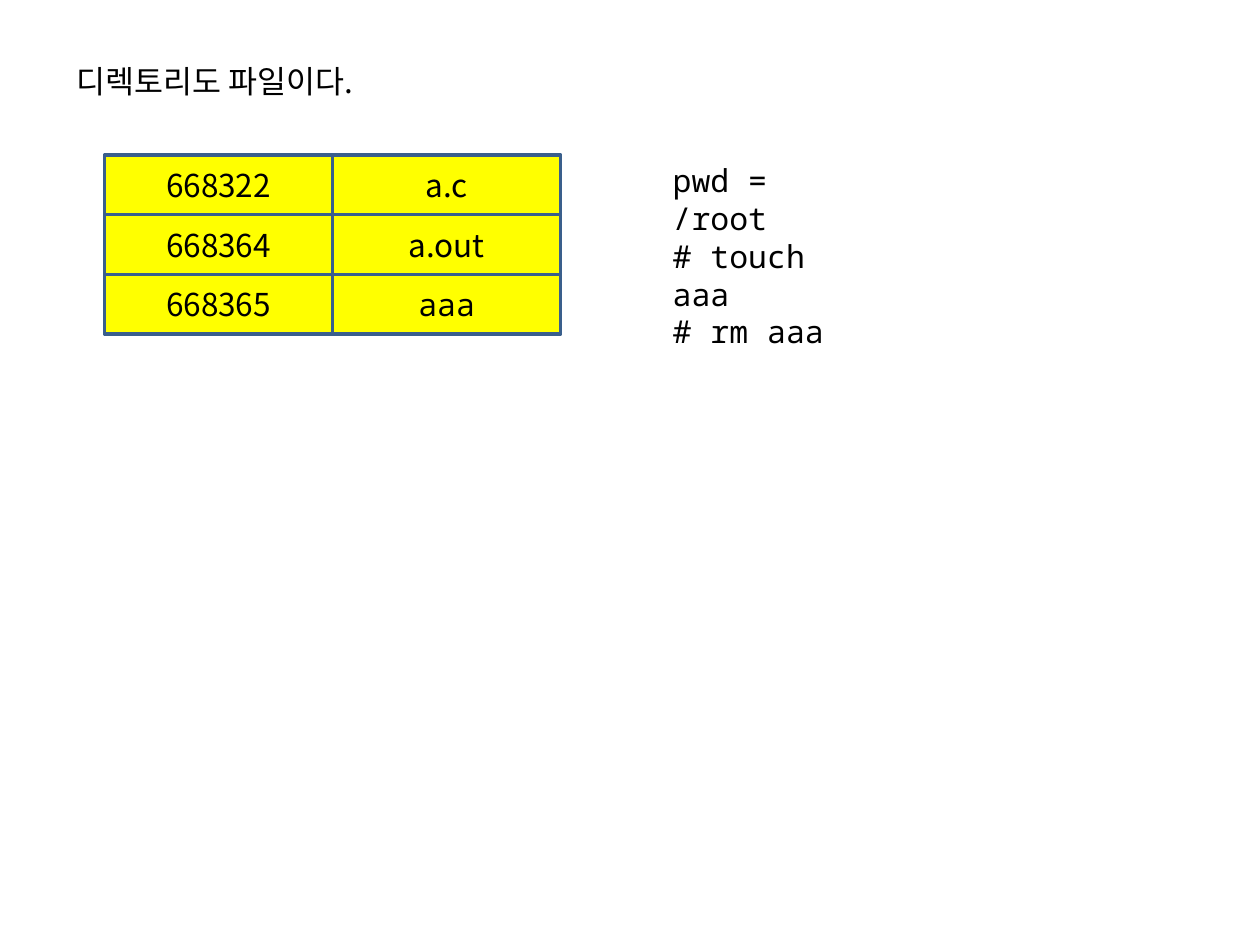
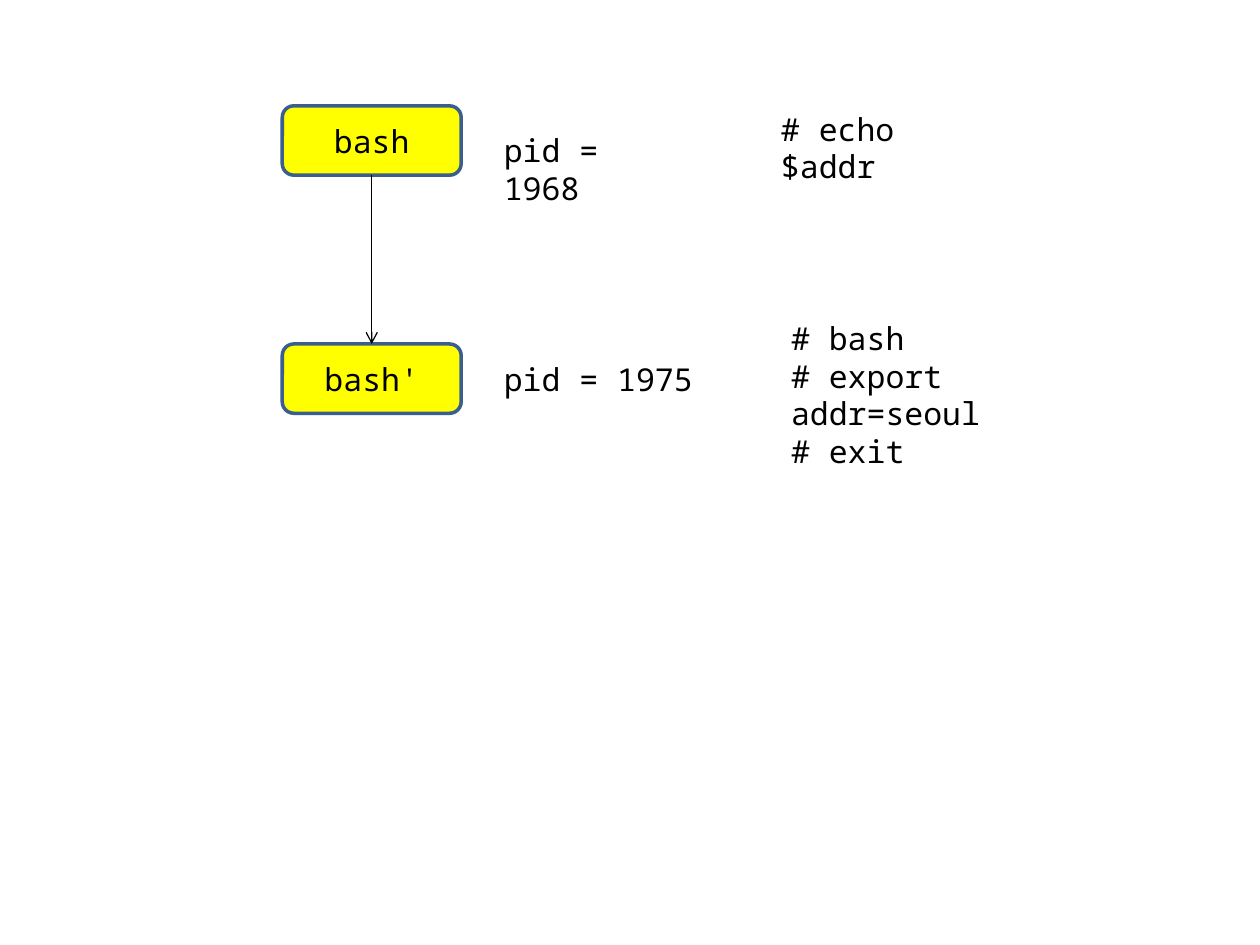
"""Draws a directory table and a parent and child shell on two slides."""
from dataclasses import dataclass
from lxml.etree import SubElement
from pptx import Presentation
from pptx.dml.color import RGBColor as RGB
from pptx.enum.shapes import MSO_CONNECTOR as Link, MSO_SHAPE as Form
from pptx.enum.text import MSO_ANCHOR as Anchor, MSO_AUTO_SIZE as Auto, PP_ALIGN as Align
from pptx.oxml.ns import qn
from pptx.shapes.base import BaseShape
from pptx.slide import Slide
from pptx.util import Inches, Length, Pt

COLS, ROWS = 100, 75
WIDE, HIGH = Inches(10), Inches(7.5)
LINE = Inches(0.3)
HUES = {"ink": "000000", "fill": "FFFF00", "edge": "3A5F8C"}
SANS, MONO = "Noto Sans CJK KR", "Noto Sans Mono"
FRAME = {"word_wrap": True, "auto_size": Auto.NONE,
         "margin_left": Inches(0.1), "margin_right": Inches(0.1),
         "margin_top": Inches(0.05), "margin_bottom": Inches(0.05)}
NOTE = FRAME | {"vertical_anchor": Anchor.TOP}
LABEL = FRAME | {"vertical_anchor": Anchor.MIDDLE}


@dataclass
class Box:
    """A place in columns and rows of the slide grid."""
    col: float
    row: float
    wide: float
    high: float

    def place(self) -> tuple[Length, ...]:
        """Give left, top, width and height as lengths."""
        unit = WIDE / COLS, HIGH / ROWS
        sides = self.col, self.row, self.wide, self.high
        return tuple(Length(round(n * unit[i % 2])) for i, n in enumerate(sides))


@dataclass
class Note:
    """Lines of shell text, set a number of lines below the box top."""
    box: Box
    lines: list[str]
    skip: int = 0


def apply(item: object, form: dict) -> None:
    """Set each format value on the item."""
    for name, value in form.items():
        setattr(item, name, value)


def write(shape: BaseShape, lines: list[str], face: str, form: dict, align: Align) -> None:
    """Fill a shape with paragraphs in one face."""
    frame = shape.text_frame
    apply(frame, form)
    for i, line in enumerate(lines):
        para = frame.add_paragraph() if i else frame.paragraphs[0]
        para.alignment = align
        run = para.add_run()
        run.text = line
        apply(run.font, {"name": face, "size": Pt(18), "bold": False})
        run.font.color.rgb = RGB.from_string(HUES["ink"])
        SubElement(run._r.get_or_add_rPr(), qn("a:ea"), typeface=face)


def add_title(slide: Slide, box: Box, text: str) -> None:
    """Move and fill the title placeholder."""
    title = slide.shapes.title
    apply(title, dict(zip(("left", "top", "width", "height"), box.place())))
    write(title, [text], SANS, NOTE, Align.LEFT)


def add_note(slide: Slide, note: Note) -> None:
    """Draw a text box of shell lines."""
    form = NOTE | {"margin_top": NOTE["margin_top"] + note.skip * LINE}
    write(slide.shapes.add_textbox(*note.box.place()), note.lines, MONO, form, Align.LEFT)


def add_cell(slide: Slide, form: Form, box: Box, text: str, face: str) -> BaseShape:
    """Draw a filled shape with a centred label."""
    cell = slide.shapes.add_shape(form, *box.place())
    cell.shadow.inherit = False
    cell.fill.solid()
    cell.fill.fore_color.rgb = RGB.from_string(HUES["fill"])
    cell.line.color.rgb = RGB.from_string(HUES["edge"])
    cell.line.width = Pt(2)
    write(cell, [text], face, LABEL, Align.CENTER)
    return cell


def add_arrow(slide: Slide, start: BaseShape, end: BaseShape) -> None:
    """Join the foot of one shape to the head of the next."""
    arrow = slide.shapes.add_connector(Link.STRAIGHT, 0, 0, 0, 0)
    arrow.begin_connect(start, 2)
    arrow.end_connect(end, 0)
    arrow.line.color.rgb = RGB.from_string(HUES["ink"])
    arrow.line.width = Pt(0.75)
    SubElement(arrow.line._get_or_add_ln(), qn("a:tailEnd"), type="arrow")
    SubElement(arrow._element.spPr, qn("a:effectLst"))


def draw_files(slide: Slide) -> None:
    """Show the inode table of a directory."""
    add_title(slide, Box(5.1, 4.4, 26.2, 7.1), "디렉토리도 파일이다.")
    files = [("668322", "a.c"), ("668364", "a.out"), ("668365", "aaa")]
    wide, high = 18.1, 4.74
    for r, pair in enumerate(files):
        for c, text in enumerate(pair):
            box = Box(8.3 + c * wide, 12.3 + r * high, wide, high)
            add_cell(slide, Form.RECTANGLE, box, text, MONO if text == "aaa" else SANS)
    add_note(slide, Note(Box(52.4, 12.3, 17.3, 13.1),
                         ["pwd = /root", "# touch aaa", "# rm aaa"]))


def draw_shells(slide: Slide) -> None:
    """Show a shell, its child and what is typed in each."""
    shells = [add_cell(slide, Form.ROUNDED_RECTANGLE, Box(22.4, 8.4 + i * 18.9, 14.2, 5.5),
                       name, MONO) for i, name in enumerate(("bash", "bash'"))]
    add_arrow(slide, *shells)
    notes = [
        Note(Box(39, 9.9, 15.9, 4), ["pid = 1968"]),
        Note(Box(39, 28.1, 17.3, 4), ["pid = 1975"]),
        Note(Box(61, 5.2, 18.6, 7.1), ["# echo $addr"], 1),
        Note(Box(61.8, 21.8, 28.3, 13.1), ["# bash", "# export addr=seoul", "# exit"], 1),
    ]
    for note in notes:
        add_note(slide, note)


def main() -> None:
    """Build and save both slides."""
    deck = Presentation()
    apply(deck, {"slide_width": WIDE, "slide_height": HIGH})
    for layout, draw in (("Title Only", draw_files), ("Blank", draw_shells)):
        draw(deck.slides.add_slide(deck.slide_layouts.get_by_name(layout)))
    deck.save("out.pptx")


main()
